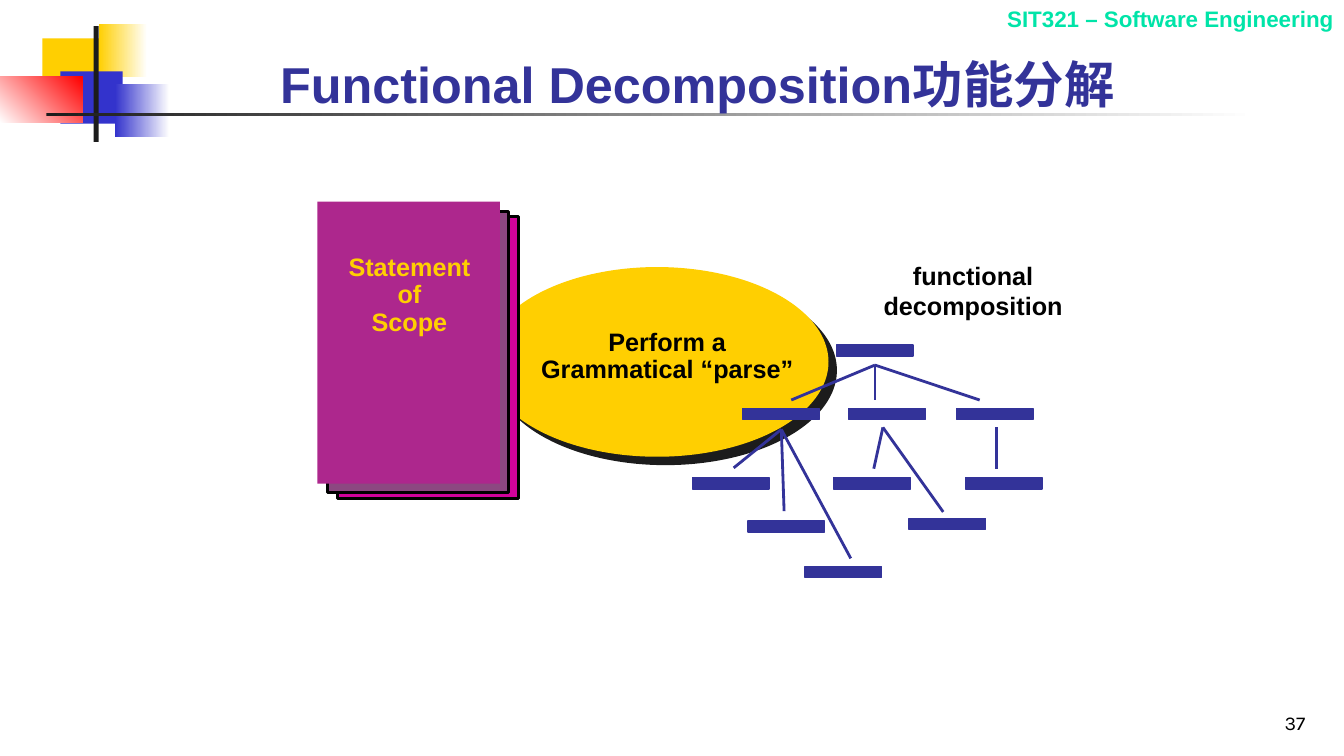
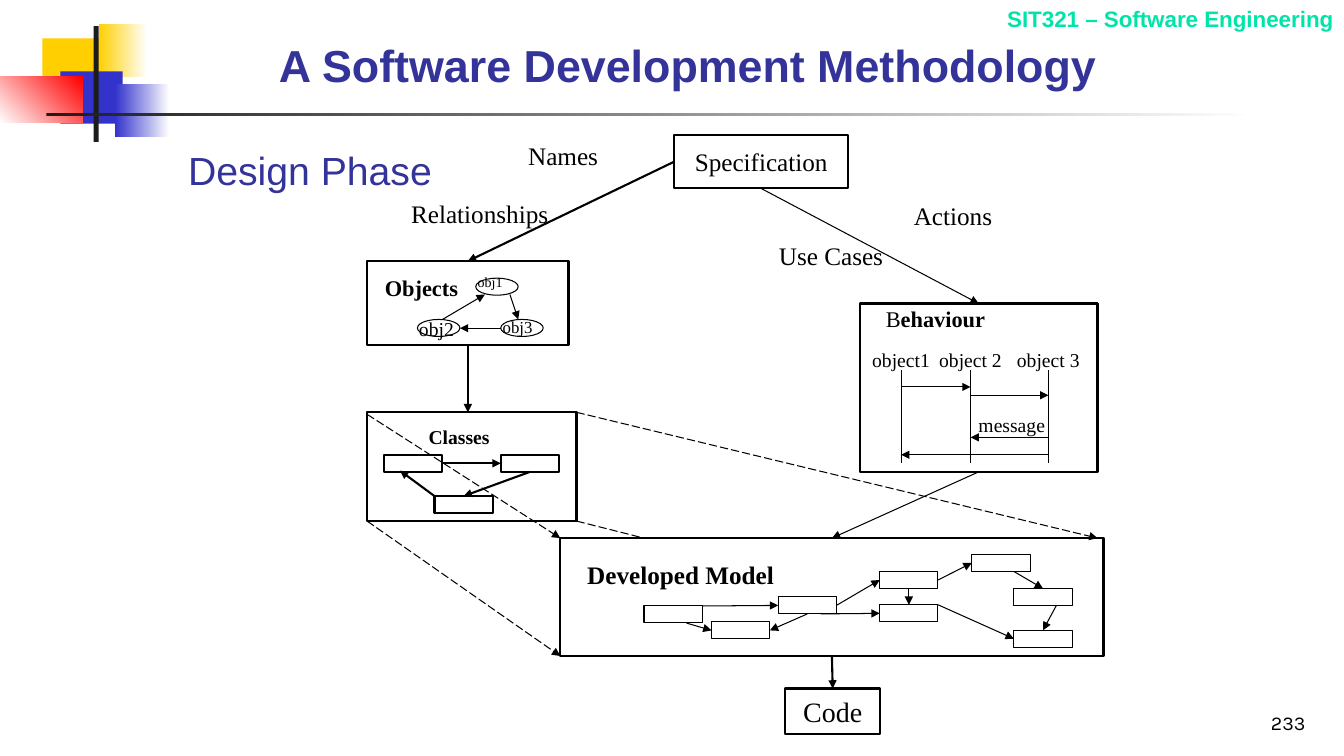
"""Build two software engineering slides on decomposition and methodology."""

import dataclasses
import typing

import lxml.etree
import pptx
import pptx.dml.color
import pptx.enum.dml
import pptx.enum.shapes
import pptx.enum.text
import pptx.oxml.ns
import pptx.shapes.autoshape
import pptx.shapes.base
import pptx.slide
import pptx.util

RECT = pptx.enum.shapes.MSO_SHAPE.RECTANGLE
OVAL = pptx.enum.shapes.MSO_SHAPE.OVAL
LEFT = pptx.enum.text.PP_ALIGN.LEFT
CENTER = pptx.enum.text.PP_ALIGN.CENTER
RIGHT = pptx.enum.text.PP_ALIGN.RIGHT
TOP = pptx.enum.text.MSO_ANCHOR.TOP
MIDDLE = pptx.enum.text.MSO_ANCHOR.MIDDLE
BOTTOM = pptx.enum.text.MSO_ANCHOR.BOTTOM

BLACK = "000000"
WHITE = "FFFFFF"
CHARCOAL = "1C1C1C"
YELLOW = "FFCF01"
BLUE = "3333CC"
INDIGO = "333399"
MINT = "00E4A8"
SANS = "Arial"
SERIF = "Times New Roman"

TOP_SIDE, LEFT_SIDE, BOTTOM_SIDE, RIGHT_SIDE = range(4)
THIN, THICK = 0.75, 1.5


class Box(typing.NamedTuple):
    x: float
    y: float
    w: float
    h: float


class Joint(typing.NamedTuple):
    node: str
    side: int


Point = tuple[float, float]
Nodes = dict[str, pptx.shapes.autoshape.Shape]


@dataclasses.dataclass(frozen=True)
class Panel:
    box: Box
    fill: str | None = None
    fade: str | None = None
    angle: float = 0
    border: str | None = None
    weight: float = THIN
    geometry: pptx.enum.shapes.MSO_SHAPE = RECT


@dataclasses.dataclass(frozen=True)
class Link:
    start: Point | Joint
    end: Point | Joint
    weight: float = THIN
    color: str = BLACK
    arrow: bool = True
    dashed: bool = False


@dataclasses.dataclass(frozen=True)
class Label:
    text: str
    box: Box
    size: float = 18
    bold: bool = False
    align: pptx.enum.text.PP_ALIGN = LEFT
    plain_lead: str = ""


BACKDROP = (
    Panel(Box(1.07, 0.97, 1.63, 1.32), YELLOW),
    Panel(Box(2.49, 0.61, 1.22, 1.32), YELLOW, WHITE),
    Panel(Box(1.52, 1.8, 1.57, 1.32), BLUE),
    Panel(Box(2.9, 2.13, 1.37, 1.32), BLUE, WHITE),
    Panel(Box(0, 1.93, 2.08, 1.17), WHITE, "FF0000", 45),
    Panel(Box(2.36, 0.66, 0.13, 2.92), CHARCOAL),
    Panel(Box(1.17, 2.84, 30.48, 0.08), CHARCOAL, WHITE),
)

SCOPE_PAGES = (
    Panel(Box(8.51, 5.46, 4.55, 7.11), "D1039B", border=BLACK, weight=2),
    Panel(Box(8.26, 5.33, 4.55, 7.09), "8C4881", border=BLACK, weight=2),
    Panel(Box(8, 5.08, 4.6, 7.11), "AD278D"),
)
FUNCTIONS = (
    (21.08, 8.69),
    (18.72, 10.29), (21.39, 10.29), (24.1, 10.29),
    (17.45, 12.04), (18.85, 13.13), (20.29, 14.27),
    (21.01, 12.04), (22.91, 13.06), (24.33, 12.04),
)
BRANCHES = {
    (22.05, 9.2): ((19.94, 10.08), (22.05, 10.08), (24.69, 10.08)),
    (19.69, 10.82): ((18.49, 11.79), (19.76, 12.88), (21.44, 14.07)),
    (22.25, 10.77): ((22.02, 11.81), (23.77, 12.9)),
    (25.12, 10.77): ((25.12, 11.81),),
}

STAGES = {
    "specification": Box(16.99, 3.4, 4.39, 1.35),
    "objects": Box(9.25, 6.58, 5.08, 2.11),
    "classes": Box(9.25, 10.39, 5.28, 2.74),
    "behaviour": Box(21.67, 7.65, 5.99, 4.24),
    "model": Box(14.12, 13.56, 13.69, 2.97),
    "code": Box(19.79, 17.35, 2.39, 1.14),
}
CLASS_BOXES = {
    "class left": (9.68, 11.46),
    "class right": (12.62, 11.46),
    "class low": (10.95, 12.5),
}
MODEL_BOXES = {
    "entry": (16.23, 15.27),
    "helper": (17.93, 15.67),
    "hub": (19.61, 15.04),
    "upper": (22.17, 14.4),
    "lower": (22.17, 15.24),
    "summit": (24.49, 13.97),
    "outlet": (25.55, 14.83),
    "final": (25.55, 15.88),
}
OBJECT_OVALS = ((11.99, 7.01), (12.62, 8.05), (10.52, 8.05))
LIFELINES = (22.71, 24.46, 26.42)
FIRST, SECOND, THIRD = LIFELINES

METHOD_LINKS = (
    Link(Joint("specification", LEFT_SIDE), Joint("objects", TOP_SIDE), THICK),
    Link(Joint("specification", BOTTOM_SIDE), Joint("behaviour", TOP_SIDE)),
    Link(Joint("objects", BOTTOM_SIDE), (11.79, 10.39), THICK),
    Link(Joint("behaviour", BOTTOM_SIDE), Joint("model", TOP_SIDE)),
    Link(Joint("model", BOTTOM_SIDE), Joint("code", TOP_SIDE), THICK),
    Link((11.15, 8.05), (12.22, 7.42)),
    Link((12.85, 7.42), (13.06, 8.05)),
    Link((12.62, 8.27), (11.59, 8.27)),
    Link(Joint("class left", RIGHT_SIDE), Joint("class right", LEFT_SIDE), THICK),
    Link(Joint("class right", BOTTOM_SIDE), Joint("class low", TOP_SIDE), THICK),
    Link((10.95, 12.5), (10.08, 11.86), THICK),
    *(Link((x, 9.32), (x, 11.66), arrow=False) for x in LIFELINES),
    Link((FIRST, 9.75), (SECOND, 9.75)),
    Link((SECOND, 9.96), (THIRD, 9.96)),
    Link((THIRD, 11.02), (SECOND, 11.02)),
    Link((THIRD, 11.46), (FIRST, 11.46)),
    Link((9.25, 10.44), (14.12, 13.56), dashed=True),
    Link((9.25, 13.13), (14.12, 16.53), dashed=True),
    Link((14.53, 13.13), (16.23, 13.56), arrow=False, dashed=True),
    Link((14.53, 10.39), (27.66, 13.56), dashed=True),
    Link((17.7, 15.27), Joint("hub", LEFT_SIDE)),
    Link((17.3, 15.7), Joint("helper", LEFT_SIDE)),
    Link(Joint("hub", BOTTOM_SIDE), Joint("helper", RIGHT_SIDE)),
    Link(Joint("hub", RIGHT_SIDE), Joint("upper", LEFT_SIDE)),
    Link((20.68, 15.47), Joint("lower", LEFT_SIDE)),
    Link(Joint("upper", RIGHT_SIDE), Joint("summit", LEFT_SIDE)),
    Link(Joint("upper", BOTTOM_SIDE), Joint("lower", TOP_SIDE)),
    Link((25.55, 14.4), Joint("outlet", TOP_SIDE)),
    Link((26.62, 15.26), Joint("final", TOP_SIDE)),
    Link((23.64, 15.24), Joint("final", LEFT_SIDE)),
)
METHOD_LABELS = (
    Label("Objects", Box(9.45, 6.78, 3.38, 0.94), 16, True),
    Label("obj1", Box(11.79, 6.78, 1.9, 0.69), 10),
    Label("obj2", Box(10.31, 7.85, 1.47, 0.84), 14),
    Label("obj3", Box(12.42, 7.85, 1.9, 0.76), 12),
    Label("Relationships", Box(9.45, 4.88, 5.28, 1.02), align=CENTER),
    Label("Names", Box(13.06, 3.4, 3.61, 1.02)),
    Label("Classes", Box(9.88, 10.59, 3.38, 0.84), 14, True, CENTER),
    Label("ehaviour", Box(22.05, 7.57, 3.05, 0.94), 16, True, CENTER, "B"),
    *(Label(name, Box(x - 1.2, 8.64, 2.4, 0.84), 14, align=CENTER)
      for name, x in zip(("object1", "object 2", "object 3"), LIFELINES)),
    Label("message", Box(24.41, 10.29, 2.62, 0.84), 14),
    Label("Use Cases", Box(19.38, 5.94, 3.81, 1.02)),
    Label("Actions", Box(22.78, 4.93, 3.81, 1.02)),
    Label("Developed Model", Box(14.55, 13.97, 7.82, 1.02), bold=True),
)


def rgb(color: str) -> pptx.dml.color.RGBColor:
    return pptx.dml.color.RGBColor.from_string(color)


def lengths(*values: float) -> list[pptx.util.Length]:
    return [pptx.util.Cm(value) for value in values]


def write(shape: pptx.shapes.base.BaseShape, text: str, *, size: float = 18,
          font: str = SERIF, color: str = BLACK, bold: bool = False,
          align: pptx.enum.text.PP_ALIGN = LEFT,
          anchor: pptx.enum.text.MSO_ANCHOR = TOP, wrap: bool = True,
          spacing: float = 1.0, plain_lead: str = "") -> None:
    frame = shape.text_frame
    frame.word_wrap = wrap
    frame.vertical_anchor = anchor
    for index, line in enumerate(text.split("\n")):
        paragraph = frame.add_paragraph() if index else frame.paragraphs[0]
        paragraph.alignment = align
        paragraph.line_spacing = spacing
        for words, heavy in ((plain_lead, False), (line, bold)):
            if words:
                run = paragraph.add_run()
                run.text = words
                run.font.name = font
                run.font.size = pptx.util.Pt(size)
                run.font.bold = heavy
                run.font.color.rgb = rgb(color)


def add_label(slide: pptx.slide.Slide, text: str, box: Box, **style: typing.Any) -> None:
    write(slide.shapes.add_textbox(*lengths(*box)), text, **style)


def add_panel(slide: pptx.slide.Slide, panel: Panel) -> pptx.shapes.autoshape.Shape:
    shape = slide.shapes.add_shape(panel.geometry, *lengths(*panel.box))
    shape.shadow.inherit = False
    if panel.fade:
        shape.fill.gradient()
        shape.fill.gradient_angle = panel.angle
        for stop, color in zip(shape.fill.gradient_stops, (panel.fill, panel.fade)):
            stop.color.rgb = rgb(color)
    elif panel.fill:
        shape.fill.solid()
        shape.fill.fore_color.rgb = rgb(panel.fill)
    else:
        shape.fill.background()
    if panel.border:
        shape.line.color.rgb = rgb(panel.border)
        shape.line.width = pptx.util.Pt(panel.weight)
    else:
        shape.line.fill.background()
    return shape


def add_link(slide: pptx.slide.Slide, link: Link, nodes: Nodes) -> None:
    ends = [(0, 0) if isinstance(end, Joint) else end for end in (link.start, link.end)]
    connector = slide.shapes.add_connector(
        pptx.enum.shapes.MSO_CONNECTOR.STRAIGHT, *lengths(*ends[0], *ends[1]))
    if isinstance(link.start, Joint):
        connector.begin_connect(nodes[link.start.node], link.start.side)
    if isinstance(link.end, Joint):
        connector.end_connect(nodes[link.end.node], link.end.side)
    connector.line.color.rgb = rgb(link.color)
    connector.line.width = pptx.util.Pt(link.weight)
    if link.dashed:
        connector.line.dash_style = pptx.enum.dml.MSO_LINE.LONG_DASH
    qn = pptx.oxml.ns.qn
    if link.arrow:
        lxml.etree.SubElement(connector.get_or_add_ln(), qn("a:tailEnd"), type="triangle")
    lxml.etree.SubElement(connector.element.spPr, qn("a:effectLst"))


def cast_shadow(shape: pptx.shapes.autoshape.Shape, color: str) -> None:
    qn = pptx.oxml.ns.qn
    effects = shape.element.spPr.find(qn("a:effectLst"))
    shadow = lxml.etree.SubElement(effects, qn("a:outerShdw"), blurRad="0",
                                   dist=str(pptx.util.Pt(8.5)), dir="2700000",
                                   algn="ctr", rotWithShape="0")
    lxml.etree.SubElement(shadow, qn("a:srgbClr"), val=color)


def start_slide(deck: typing.Any, title: str, box: Box, number: str, size: float,
                anchor: pptx.enum.text.MSO_ANCHOR) -> pptx.slide.Slide:
    slide = deck.slides.add_slide(deck.slide_layouts[6])
    for panel in BACKDROP:
        add_panel(slide, panel)
    add_label(slide, "SIT321 – Software Engineering", Box(20.4, 0, 13.46, 0.94),
              size=16, font=SANS, color=MINT, bold=True, align=RIGHT)
    add_label(slide, number, Box(26.09, 17.35, 7.06, 1.27),
              size=14, font="Karla", align=RIGHT, anchor=BOTTOM)
    add_label(slide, title, box, size=size, font=SANS, color=INDIGO, bold=True, anchor=anchor)
    return slide


def build_decomposition(deck: typing.Any) -> None:
    slide = start_slide(deck, "Functional Decomposition功能分解",
                        Box(6.81, 1.17, 22.15, 1.88), "37", 36, MIDDLE)
    parse_step = add_panel(slide, Panel(Box(12.24, 6.73, 8.64, 4.78), YELLOW, geometry=OVAL))
    cast_shadow(parse_step, CHARCOAL)
    for page in SCOPE_PAGES:
        add_panel(slide, page)
    for x, y in FUNCTIONS:
        add_panel(slide, Panel(Box(x, y, 1.93, 0.28), INDIGO, border=INDIGO, weight=1))
    for origin, tips in BRANCHES.items():
        for tip in tips:
            add_link(slide, Link(origin, tip, 2, INDIGO, arrow=False), {})
    heading = {"font": SANS, "bold": True, "align": CENTER}
    add_label(slide, "functional\ndecomposition", Box(22, 6.43, 5.05, 1.78),
              wrap=False, **heading)
    add_label(slide, "Statement\nof\nScope", Box(8.53, 6.3, 3.58, 2.31),
              color=YELLOW, wrap=False, spacing=0.9, **heading)
    add_label(slide, "Perform a Grammatical “parse”", Box(13.31, 8.18, 7.01, 1.65),
              spacing=0.9, **heading)


def build_methodology(deck: typing.Any) -> None:
    slide = start_slide(deck, "A Software Development Methodology",
                        Box(6.78, 0.1, 22.23, 2.34), "233", 32, BOTTOM)
    nodes: Nodes = {}
    for name, box in STAGES.items():
        nodes[name] = add_panel(slide, Panel(box, border=BLACK, weight=THICK))
    for group, weight in ((CLASS_BOXES, THICK), (MODEL_BOXES, THIN)):
        for name, (x, y) in group.items():
            nodes[name] = add_panel(
                slide, Panel(Box(x, y, 1.47, 0.43), border=BLACK, weight=weight))
    for x, y in OBJECT_OVALS:
        add_panel(slide, Panel(Box(x, y, 1.07, 0.43), border=BLACK, geometry=OVAL))
    for link in METHOD_LINKS:
        add_link(slide, link, nodes)
    write(nodes["specification"], "Specification", align=CENTER, anchor=MIDDLE)
    write(nodes["code"], "Code", size=20, align=CENTER, anchor=MIDDLE)
    for label in METHOD_LABELS:
        add_label(slide, label.text, label.box, size=label.size, bold=label.bold,
                  align=label.align, plain_lead=label.plain_lead)
    add_label(slide, "Design Phase", Box(4.47, 3.56, 6.68, 1.45),
              size=28, font=SANS, color=INDIGO, align=CENTER, wrap=False)


def main() -> None:
    deck = pptx.Presentation()
    deck.slide_width, deck.slide_height = lengths(33.87, 19.05)
    build_decomposition(deck)
    build_methodology(deck)
    deck.save("out.pptx")


if __name__ == "__main__":
    main()
